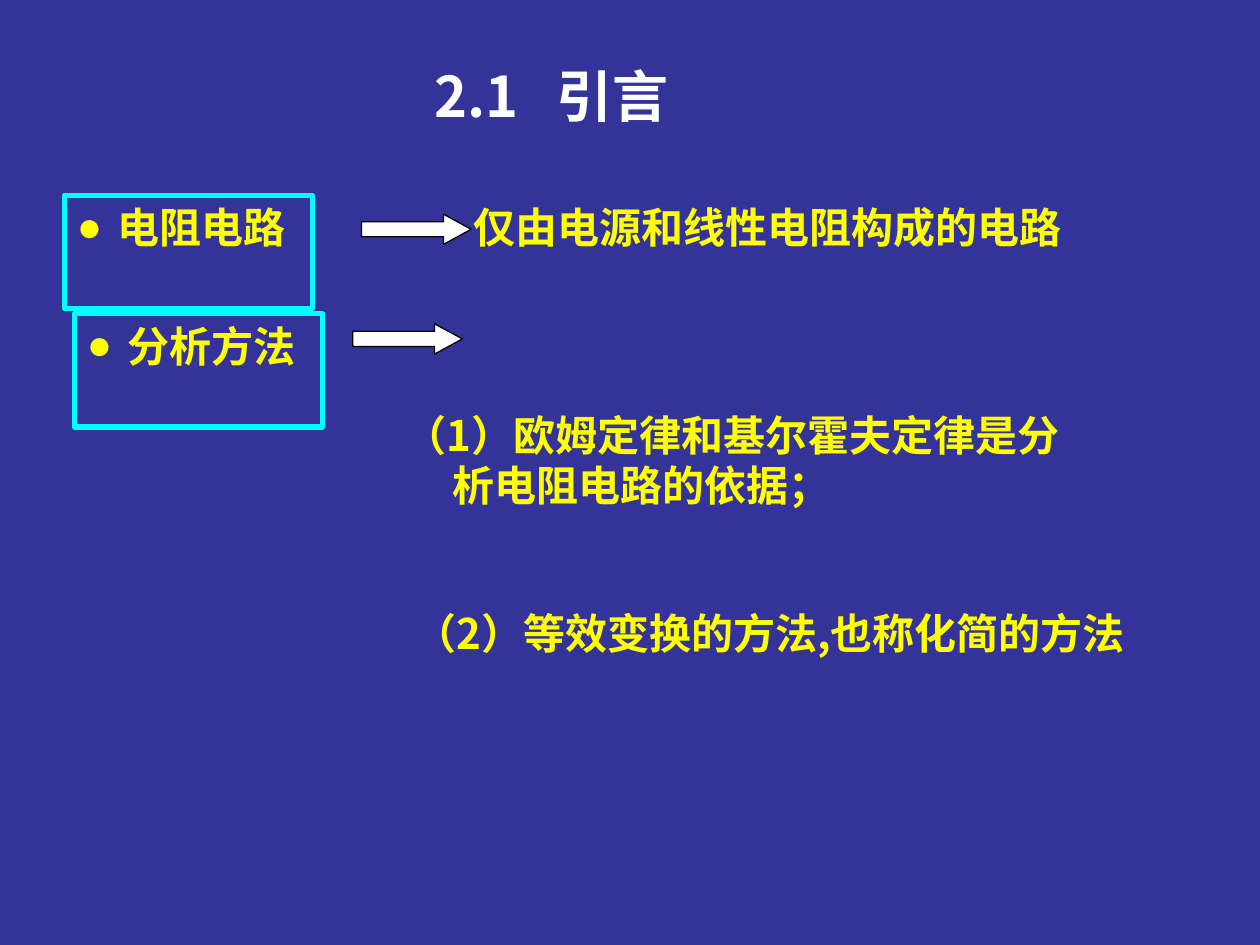
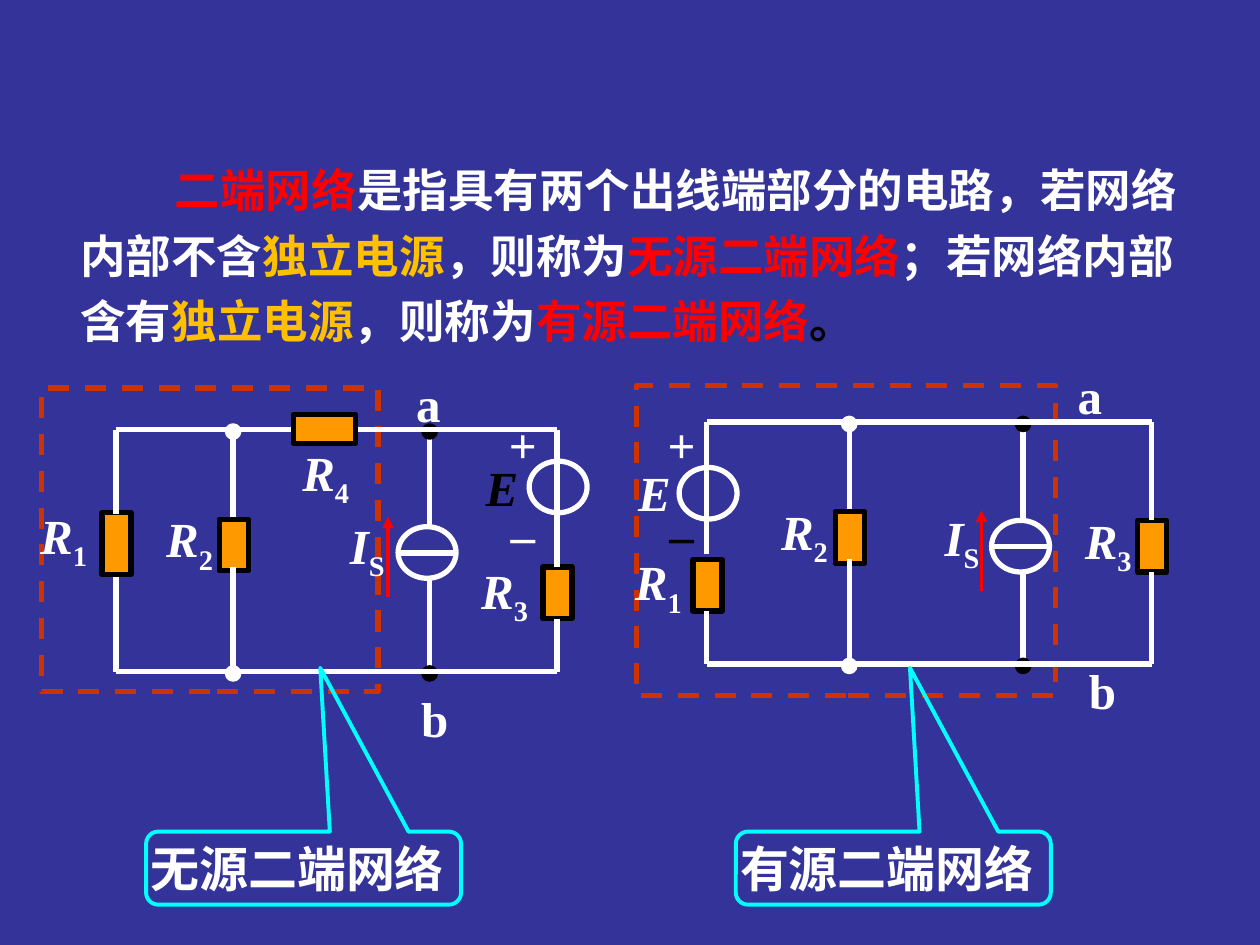
from dataclasses import dataclass

from pptx import Presentation, util as u
from pptx.dml import color as dml_color
from pptx.enum import dml, shapes, text as t
from pptx.oxml import xmlchemy as x
from pptx.oxml.ns import qn
from lxml import etree

COLORS = {
    "background": "333399", "white": "FFFFFF", "black": "000000",
    "yellow": "FFFF00", "cyan": "00FFFF", "red": "FF0000",
    "gold": "FFC000", "orange": "FF9900", "rust": "CC3300",
}
SANS, SERIF = "Noto Sans CJK SC", "Times New Roman"
SHAPE = shapes.MSO_SHAPE
LEFT, CENTER = t.PP_ALIGN.LEFT, t.PP_ALIGN.CENTER
TOP, MIDDLE = t.MSO_ANCHOR.TOP, t.MSO_ANCHOR.MIDDLE
RESISTOR_W, RESISTOR_H = 0.23, 0.41
SOURCE_W, SOURCE_H = 0.46, 0.41
NODE_SIZE = 0.09


@dataclass(frozen=True)
class Area:
    left: float
    top: float
    width: float
    height: float

    def lengths(self) -> list:
        return [u.Inches(v) for v in (self.left, self.top, self.width, self.height)]


@dataclass(frozen=True)
class Branch:
    """A vertical wire between the rails, open from upper_end to lower_start."""
    x: float
    upper_end: float
    lower_start: float
    resistor_top: float | None = None
    resistor_height: float = RESISTOR_H
    node: str | None = None


@dataclass(frozen=True)
class Label:
    symbol: str
    area: Area
    subscript: str = ""
    italic: bool = True
    color: str = "white"


@dataclass(frozen=True)
class Circuit:
    frame: Area
    top_rail: float
    bottom_rail: float
    branches: tuple[Branch, ...]
    current_source: tuple[float, float]
    voltage_source: tuple[float, float]
    polarity: Area
    minus_color: str
    labels: tuple[Label, ...]
    callout_left: float
    callout_text: str
    rail_resistor: Area | None = None


# Shared helpers
def rgb(name: str):
    return dml_color.RGBColor.from_string(COLORS[name])


def write(para, content: str, *, size=24, color="yellow", font=SANS,
          bold=True, italic=False, baseline=0) -> None:
    span = para.add_run()
    span.text = content
    face = span.font
    face.size, face.bold, face.italic, face.name = u.Pt(size), bold, italic, font
    face.color.rgb = rgb(color)
    properties = span._r.get_or_add_rPr()
    etree.SubElement(properties, qn("a:ea")).set("typeface", SANS)
    if baseline:
        properties.set("baseline", str(baseline * 1000))


def prepare(box, *, align=LEFT, anchor=TOP, wrap=True):
    """Set up the text frame and return its first paragraph."""
    frame = box.text_frame
    frame.auto_size = t.MSO_AUTO_SIZE.NONE
    frame.word_wrap = wrap
    frame.vertical_anchor = anchor
    frame.margin_left = frame.margin_right = u.Inches(0.1)
    frame.margin_top = frame.margin_bottom = u.Inches(0.05)
    para = frame.paragraphs[0]
    para.alignment = align
    para.space_before = u.Pt(0)
    return para


def place(box, area: Area) -> None:
    box.left, box.top, box.width, box.height = area.lengths()


def indent(para, margin: float, first: float) -> None:
    properties = para._p.get_or_add_pPr()
    properties.set("marL", str(u.Inches(margin)))
    properties.set("indent", str(u.Inches(first)))


def add_text(page, area: Area, **layout):
    return prepare(page.shapes.add_textbox(*area.lengths()), **layout)


def add_outline(page, kind, area: Area, *, line: str, width=3.0, fill=None):
    shape = page.shapes.add_shape(kind, *area.lengths())
    shape.shadow.inherit = False
    if fill:
        shape.fill.solid()
        shape.fill.fore_color.rgb = rgb(fill)
    else:
        shape.fill.background()
    shape.line.color.rgb = rgb(line)
    shape.line.width = u.Pt(width)
    return shape


def add_wire(page, x1: float, y1: float, x2: float, y2: float, *,
             color="white", width=3.0, arrow=False) -> None:
    ends = [u.Inches(v) for v in (x1, y1, x2, y2)]
    wire = page.shapes.add_connector(shapes.MSO_CONNECTOR.STRAIGHT, *ends)
    wire.line.color.rgb = rgb(color)
    wire.line.width = u.Pt(width)
    if arrow:
        outline = wire.line._get_or_add_ln()
        etree.SubElement(outline, qn("a:tailEnd")).set("type", "triangle")
    etree.SubElement(wire._element.spPr, qn("a:effectLst"))


# Slide 1: introduction
def add_topic(box, area: Area, topic: str) -> None:
    place(box, area)
    box.line.color.rgb = rgb("cyan")
    box.line.width = u.Pt(3)
    para = prepare(box)
    indent(para, 0.32, -0.32)
    properties = para._p.get_or_add_pPr()
    bullet_color = etree.SubElement(properties, qn("a:buClr"))
    etree.SubElement(bullet_color, qn("a:srgbClr")).set("val", COLORS["yellow"])
    etree.SubElement(properties, qn("a:buChar")).set("char", "●")
    write(para, topic)


def build_introduction(deck) -> None:
    page = deck.slides.add_slide(deck.slide_layouts.get_by_name("Two Content"))
    title, *topics = [box for box in page.placeholders
                      if box.placeholder_format.idx < 3]
    place(title, Area(3.35, 0.44, 3.23, 0.64))
    para = prepare(title)
    tabs = etree.SubElement(para._p.get_or_add_pPr(), qn("a:tabLst"))
    stop = etree.SubElement(tabs, qn("a:tab"))
    stop.set("pos", str(u.Inches(0.97)))
    stop.set("algn", "l")
    write(para, "2.1\t引言", size=32, color="white")

    add_topic(topics[0], Area(0.51, 1.55, 1.97, 0.9), "电阻电路")
    add_topic(topics[1], Area(0.59, 2.49, 1.97, 0.9), "分析方法")
    for left, top in ((2.87, 1.7), (2.8, 2.57)):
        arrow = add_outline(page, SHAPE.RIGHT_ARROW, Area(left, top, 0.87, 0.24),
                            line="black", width=0.75, fill="white")
        arrow.adjustments[1] = 0.917

    write(add_text(page, Area(3.66, 1.55, 5.2, 0.5)), "仅由电源和线性电阻构成的电路")
    para = add_text(page, Area(3.11, 3.2, 5.59, 0.9))
    indent(para, 0.38, -0.38)
    write(para, "（1）欧姆定律和基尔霍夫定律是分析电阻电路的依据；")
    write(add_text(page, Area(3.19, 4.77, 6.14, 0.9)),
          "（2）等效变换的方法,也称化简的方法")


# Slide 2: two-terminal networks
def symbol(name: str, subscript: str, left: float, top: float) -> Label:
    return Label(name, Area(left, top, 1.01, 0.63), subscript)


def terminal(name: str, left: float, top: float) -> Label:
    return Label(name, Area(left, top, 0.4, 0.57), italic=False)


DEFINITION = (
    ("二端网络", "red"),
    ("是指具有两个出线端部分的电路，若网络内部不含", "white"),
    ("独立电源", "gold"), ("，则称为", "white"), ("无源二端网络", "red"),
    ("；若网络内部含有", "white"),
    ("独立电源", "gold"), ("，则称为", "white"), ("有源二端网络", "red"),
    ("。", "black"),
)
PASSIVE = Circuit(
    frame=Area(0.33, 3.08, 2.67, 2.41), top_rail=3.41, bottom_rail=5.33,
    branches=(Branch(0.92, 4.08, 4.58, 4.07, 0.49),
              Branch(1.85, 4.1, 4.5, 4.12, node="white"),
              Branch(3.41, 4.18, 4.6, node="black"),
              Branch(4.42, 4.5, 4.91, 4.5)),
    current_source=(3.41, 4.18), voltage_source=(4.42, 3.66),
    polarity=Area(3.92, 3.24, 0.46, 1.28), minus_color="white",
    labels=(terminal("a", 3.2, 2.91), terminal("b", 3.25, 5.41),
            Label("E", Area(3.67, 3.58, 0.63, 0.57), color="black"),
            symbol("R", "1", 0, 3.96), symbol("R", "2", 1, 3.99),
            symbol("I", "S", 2.41, 4.04), symbol("R", "3", 3.5, 4.4),
            symbol("R", "4", 2.08, 3.46)),
    callout_left=1.16, callout_text="无源二端网络",
    rail_resistor=Area(2.33, 3.29, 0.49, RESISTOR_W),
)
ACTIVE = Circuit(
    frame=Area(5.05, 3.06, 3.33, 2.46), top_rail=3.35, bottom_rail=5.27,
    branches=(Branch(5.61, 4.4, 4.85, 4.44),
              Branch(6.74, 4.04, 4.44, 4.06, node="white"),
              Branch(8.12, 4.13, 4.54, node="black"),
              Branch(9.14, 4.13, 4.54, 4.13)),
    current_source=(8.12, 4.13), voltage_source=(5.61, 3.71),
    polarity=Area(5.18, 3.24, 0.46, 1.28), minus_color="black",
    labels=(terminal("a", 8.45, 2.85), terminal("b", 8.55, 5.19),
            Label("E", Area(4.88, 3.62, 0.63, 0.57)),
            symbol("R", "1", 4.72, 4.33), symbol("R", "2", 5.88, 3.93),
            symbol("I", "S", 7.13, 3.98), symbol("R", "3", 8.29, 4)),
    callout_left=5.84, callout_text="有源二端网络",
)


def add_resistor(page, area: Area) -> None:
    add_outline(page, SHAPE.RECTANGLE, area, line="black", fill="orange")


def add_nodes(page, circuit: Circuit, color: str) -> None:
    for branch in circuit.branches:
        if branch.node == color:
            for rail in (circuit.top_rail, circuit.bottom_rail):
                area = Area(branch.x - NODE_SIZE / 2, rail - 0.03, NODE_SIZE, NODE_SIZE)
                add_outline(page, SHAPE.OVAL, area, line=color, fill=color)


def add_sources(page, circuit: Circuit) -> None:
    x, top = circuit.current_source
    left = x - 0.25
    add_outline(page, SHAPE.OVAL, Area(left, top, SOURCE_W, SOURCE_H), line="white")
    add_wire(page, left, top + 0.21, left + SOURCE_W, top + 0.21)
    add_wire(page, x - 0.33, top + 0.56, x - 0.33, top - 0.08,
             color="red", width=2.25, arrow=True)
    x, top = circuit.voltage_source
    add_outline(page, SHAPE.OVAL, Area(x - 0.22, top, SOURCE_W, SOURCE_H), line="white")


def add_labels(page, circuit: Circuit) -> None:
    for label in circuit.labels:
        para = add_text(page, label.area, align=CENTER, anchor=MIDDLE,
                        wrap=label.italic)
        write(para, label.symbol, size=28, color=label.color, font=SERIF,
              italic=label.italic)
        if label.subscript:
            write(para, label.subscript, size=28, color=label.color, font=SERIF,
                  baseline=-25)
    plus = add_text(page, circuit.polarity, align=CENTER, anchor=MIDDLE)
    write(plus, "+", size=28, color="white", font=SERIF)
    minus = plus._parent.add_paragraph()
    minus.alignment, minus.space_before = CENTER, u.Pt(17.5)
    write(minus, "–", size=28, color=circuit.minus_color, font=SERIF)


def draw_circuit(page, circuit: Circuit) -> None:
    frame = add_outline(page, SHAPE.RECTANGLE, circuit.frame, line="rust")
    frame.line.dash_style = dml.MSO_LINE.DASH
    add_sources(page, circuit)
    for branch in circuit.branches:
        if branch.resistor_top is not None:
            add_resistor(page, Area(branch.x - 0.11, branch.resistor_top,
                                    RESISTOR_W, branch.resistor_height))
        add_wire(page, branch.x, circuit.top_rail, branch.x, branch.upper_end)
        add_wire(page, branch.x, branch.lower_start, branch.x, circuit.bottom_rail)
    # Black nodes lie under the rails, white ones above
    add_nodes(page, circuit, "black")
    for rail in (circuit.top_rail, circuit.bottom_rail):
        add_wire(page, circuit.branches[0].x, rail, circuit.branches[-1].x, rail)
    add_nodes(page, circuit, "white")
    if circuit.rail_resistor:
        add_resistor(page, circuit.rail_resistor)
    add_labels(page, circuit)
    callout = add_outline(page, SHAPE.ROUNDED_RECTANGULAR_CALLOUT,
                          Area(circuit.callout_left, 6.6, 2.5, 0.58),
                          line="cyan", width=2.25)
    callout.adjustments[0], callout.adjustments[1] = 0.053, -2.741
    para = prepare(callout, align=CENTER, anchor=MIDDLE, wrap=False)
    callout.text_frame.margin_right = u.Inches(0.2)
    write(para, circuit.callout_text, size=28, color="white")


def build_networks(deck) -> None:
    page = deck.slides.add_slide(deck.slide_layouts.get_by_name("Blank"))
    para = add_text(page, Area(0.54, 1.15, 8.95, 1.66), anchor=MIDDLE)
    para.line_spacing = 1.2
    indent(para, 0, 0.75)
    for content, color in DEFINITION:
        write(para, content, size=26, color=color, font=SERIF)
    for circuit in (PASSIVE, ACTIVE):
        draw_circuit(page, circuit)


def main() -> None:
    deck = Presentation()
    deck.slide_width, deck.slide_height = u.Inches(10), u.Inches(7.5)
    backdrop = deck.slide_master.background.fill
    backdrop.solid()
    backdrop.fore_color.rgb = rgb("background")
    build_introduction(deck)
    build_networks(deck)
    deck.save("out.pptx")


if __name__ == "__main__":
    main()
